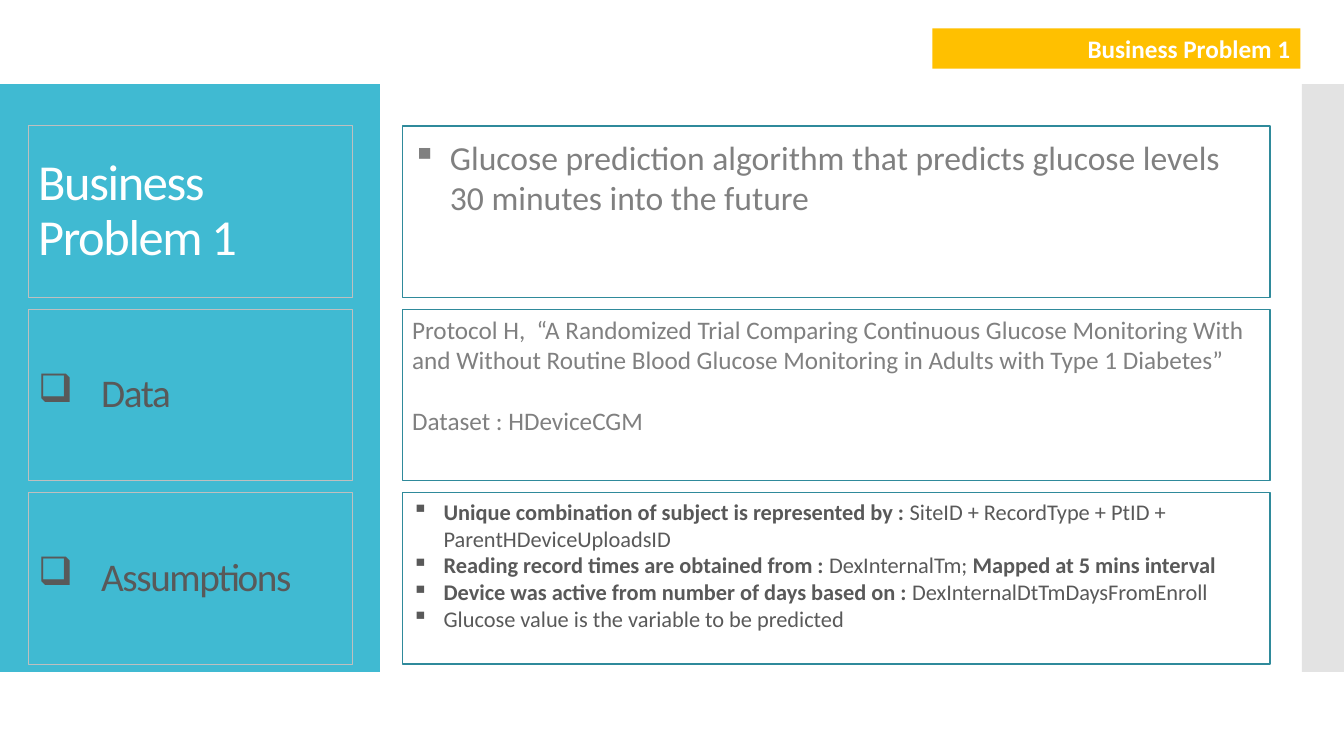
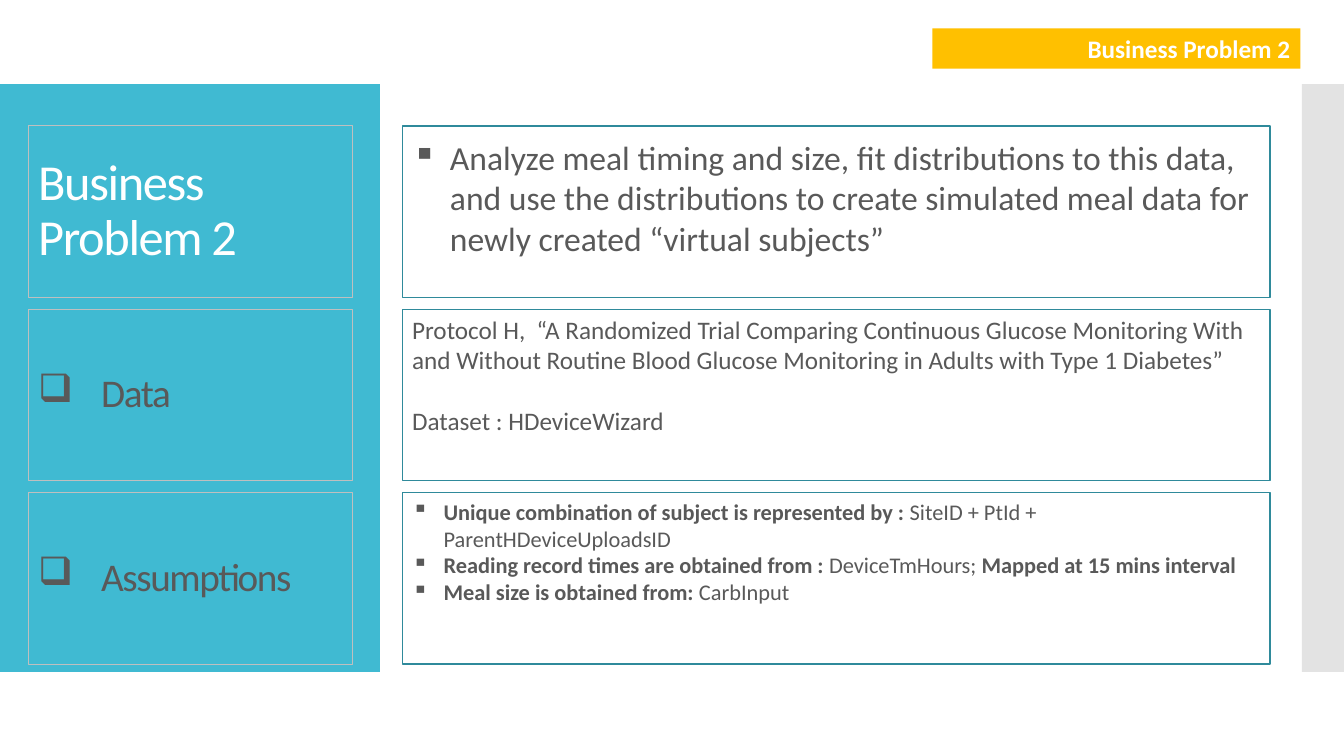
from dataclasses import dataclass
from typing import NamedTuple

from lxml.etree import SubElement
from pptx import Presentation
from pptx.dml.color import RGBColor
from pptx.enum.shapes import MSO_SHAPE as Preset
from pptx.enum.text import MSO_ANCHOR as Anchor, MSO_AUTO_SIZE as AutoSize, PP_ALIGN as Align
from pptx.oxml.ns import qn
from pptx.shapes.autoshape import Shape
from pptx.slide import Slide
from pptx.text.text import TextFrame
from pptx.util import Pt

COLORS = {
    "panel": "40BAD2",
    "edge": "C8C8C8",
    "badge": "FFC000",
    "frame": "2F8A9B",
    "label_line": "BFBFBF",
    "white": "FFFFFF",
    "dark": "595959",
    "grey": "808080",
}
FONT = "Calibri"
ROW_TOP, ROW_STEP, ROW_HEIGHT = 90, 131, 122.4
LABEL_LEFT, LABEL_WIDTH = 20.2, 231.8
FRAME_LEFT, FRAME_WIDTH = 287.3, 619.9
GOAL_OFFSET = 4.3
STUDY = (
    "Protocol H,  “A Randomized Trial Comparing Continuous Glucose Monitoring With "
    "and Without Routine Blood Glucose Monitoring in Adults with Type 1 Diabetes”"
)


class Box(NamedTuple):
    left: float
    top: float
    width: float
    height: float


class Span(NamedTuple):
    text: str
    bold: bool = False


class TextStyle(NamedTuple):
    size: float
    color: str
    bullet: str = ""
    indent: float = 0
    tracking: float = 0
    paragraph: dict = {}


@dataclass
class Problem:
    title: str
    goal: str
    dataset: str
    assumptions: list[list[Span]]
    color: str
    text_heights: tuple[float, float, float]


PANEL = Box(0, 60, 271.4, 420)
EDGE = Box(930, 60, 30, 420)
BADGE = Box(666, 20.2, 262.8, 28.8)

TITLE_STYLE = TextStyle(36, "white", tracking=-1, paragraph={"line_spacing": 0.9})
LABEL_STYLE = TextStyle(28, "dark", "❑", 45, -1, {"line_spacing": 0.9})
BADGE_STYLE = TextStyle(18, "white", paragraph={"alignment": Align.RIGHT})
ASSUMPTION_STYLE = TextStyle(16, "dark", "▪", 22.5)

SUBJECT = Span("Unique combination of subject is represented by : ", True)
TIMES = Span("Reading record times are obtained from : ", True)

PROBLEMS = [
    Problem(
        "Business Problem 1",
        "Glucose prediction algorithm that predicts glucose levels 30 minutes into the future",
        "HDeviceCGM",
        [
            [SUBJECT, Span("SiteID + RecordType + PtID + ParentHDeviceUploadsID")],
            [TIMES, Span("DexInternalTm; "), Span("Mapped at 5 mins interval", True)],
            [
                Span("Device was active from number of days based on : ", True),
                Span("DexInternalDtTmDaysFromEnroll"),
            ],
            [Span("Glucose value is the variable to be predicted")],
        ],
        "grey",
        (65.4, 116.6, 123.8),
    ),
    Problem(
        "Business Problem 2",
        "Analyze meal timing and size, fit distributions to this data, and use the "
        "distributions to create simulated meal data for newly created “virtual subjects”",
        "HDeviceWizard",
        [
            [SUBJECT, Span("SiteID + PtId + ParentHDeviceUploadsID")],
            [TIMES, Span("DeviceTmHours; "), Span("Mapped at 15 mins interval", True)],
            [Span("Meal size is obtained from: ", True), Span("CarbInput")],
        ],
        "dark",
        (94.3, 94.3, 106.6),
    ),
]


def rgb(name: str) -> RGBColor:
    return RGBColor.from_string(COLORS[name])


def row_box(row: int, left: float, width: float) -> Box:
    return Box(left, ROW_TOP + row * ROW_STEP, width, ROW_HEIGHT)


def add_rectangle(
    slide: Slide, box: Box, fill: str = "", line: str = "", line_width: float = 0.75
) -> Shape:
    shape = slide.shapes.add_shape(Preset.RECTANGLE, *map(Pt, box))
    shape.shadow.inherit = False
    if fill:
        shape.fill.solid()
        shape.fill.fore_color.rgb = rgb(fill)
    else:
        shape.fill.background()
    if line:
        shape.line.color.rgb = rgb(line)
        shape.line.width = Pt(line_width)
    else:
        shape.line.fill.background()
    return shape


def set_opacity(shape: Shape, percent: int) -> None:
    color = shape.element.spPr.find(f"{qn('a:solidFill')}/{qn('a:srgbClr')}")
    SubElement(color, qn("a:alpha")).set("val", str(percent * 1000))


def write_text(
    frame: TextFrame,
    paragraphs: list[list[Span]],
    style: TextStyle,
    anchor: Anchor = Anchor.TOP,
) -> None:
    frame.word_wrap = True
    frame.vertical_anchor = anchor
    for index, spans in enumerate(paragraphs):
        paragraph = frame.add_paragraph() if index else frame.paragraphs[0]
        for name, value in ({"alignment": Align.LEFT} | style.paragraph).items():
            setattr(paragraph, name, value)
        if style.bullet:
            properties = paragraph._p.get_or_add_pPr()
            properties.set("marL", str(Pt(style.indent)))
            properties.set("indent", str(-Pt(style.indent)))
            SubElement(properties, qn("a:buChar")).set("char", style.bullet)
        for span in spans:
            run = paragraph.add_run()
            run.text = span.text
            font_values = {"name": FONT, "size": Pt(style.size), "bold": span.bold}
            for name, value in font_values.items():
                setattr(run.font, name, value)
            run.font.color.rgb = rgb(style.color)
            if style.tracking:
                run._r.get_or_add_rPr().set("spc", str(round(style.tracking * 100)))


def add_text(
    slide: Slide, box: Box, paragraphs: list[list[Span]], style: TextStyle
) -> TextFrame:
    frame = slide.shapes.add_textbox(*map(Pt, box)).text_frame
    write_text(frame, paragraphs, style)
    frame.auto_size = AutoSize.SHAPE_TO_FIT_TEXT
    return frame


def add_bands(slide: Slide) -> None:
    add_rectangle(slide, PANEL, fill="panel")
    set_opacity(add_rectangle(slide, EDGE, fill="edge"), 50)


def add_rows(slide: Slide, title: str) -> None:
    labels = [(title, TITLE_STYLE), ("Data", LABEL_STYLE), ("Assumptions", LABEL_STYLE)]
    for row, (text, style) in enumerate(labels):
        add_rectangle(slide, row_box(row, FRAME_LEFT, FRAME_WIDTH), line="frame", line_width=0.85)
        label = add_rectangle(slide, row_box(row, LABEL_LEFT, LABEL_WIDTH), line="label_line")
        write_text(label.text_frame, [[Span(text)]], style, Anchor.MIDDLE)


def add_details(slide: Slide, problem: Problem) -> None:
    goal_box, data_box, assumption_box = (
        row_box(row, FRAME_LEFT, FRAME_WIDTH)._replace(height=height)
        for row, height in enumerate(problem.text_heights)
    )
    goal_box = goal_box._replace(top=goal_box.top + GOAL_OFFSET)
    goal_style = TextStyle(24, problem.color, "▪", 27)
    add_text(slide, goal_box, [[Span(problem.goal)]], goal_style)

    data_lines = [[Span(STUDY)], [Span(f"Dataset : {problem.dataset}")]]
    data = add_text(slide, data_box, data_lines, TextStyle(18, problem.color))
    data.paragraphs[-1].space_before = Pt(22)

    add_text(slide, assumption_box, problem.assumptions, ASSUMPTION_STYLE)


def add_badge(slide: Slide, title: str) -> None:
    badge = add_rectangle(slide, BADGE, fill="badge")
    write_text(badge.text_frame, [[Span(title, True)]], BADGE_STYLE)
    badge.text_frame.auto_size = AutoSize.SHAPE_TO_FIT_TEXT


def main() -> None:
    presentation = Presentation()
    presentation.slide_width, presentation.slide_height = Pt(960), Pt(540)
    blank = presentation.slide_layouts[6]
    for problem in PROBLEMS:
        slide = presentation.slides.add_slide(blank)
        add_bands(slide)
        add_rows(slide, problem.title)
        add_details(slide, problem)
        add_badge(slide, problem.title)
    presentation.save("out.pptx")


if __name__ == "__main__":
    main()
